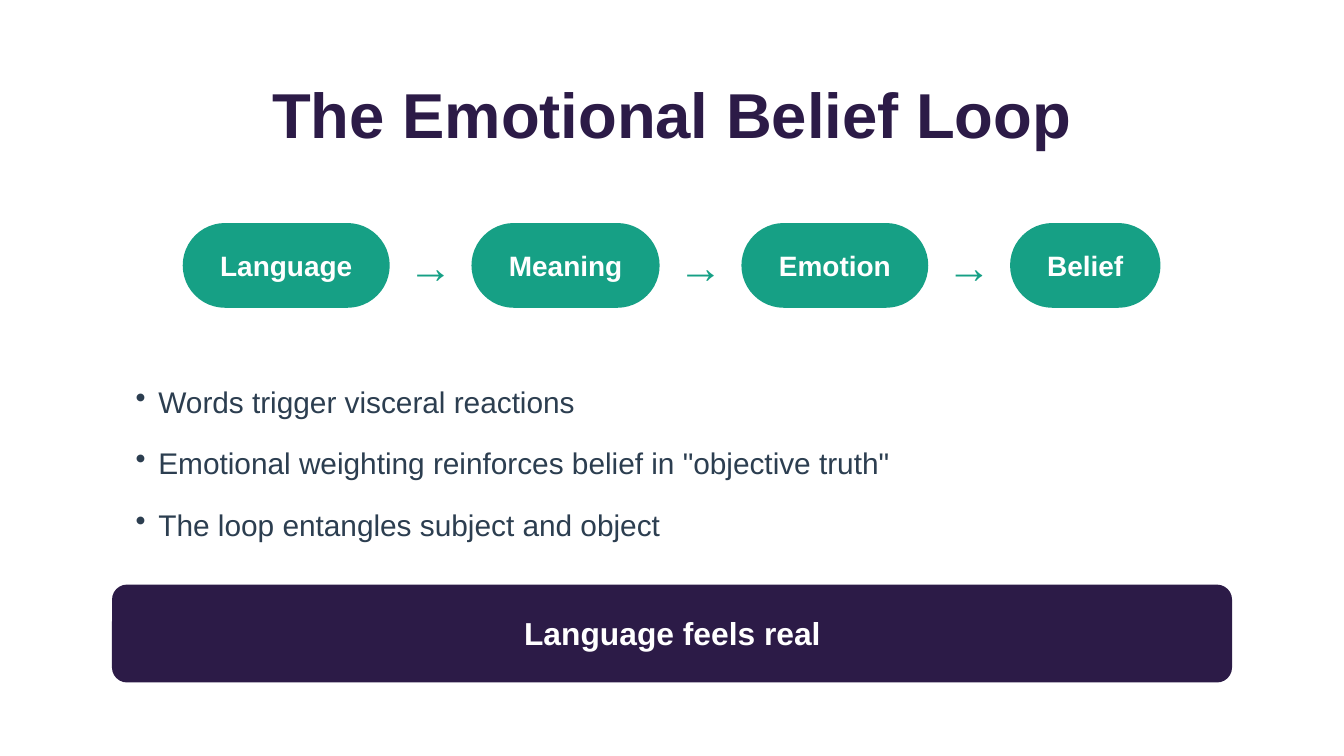
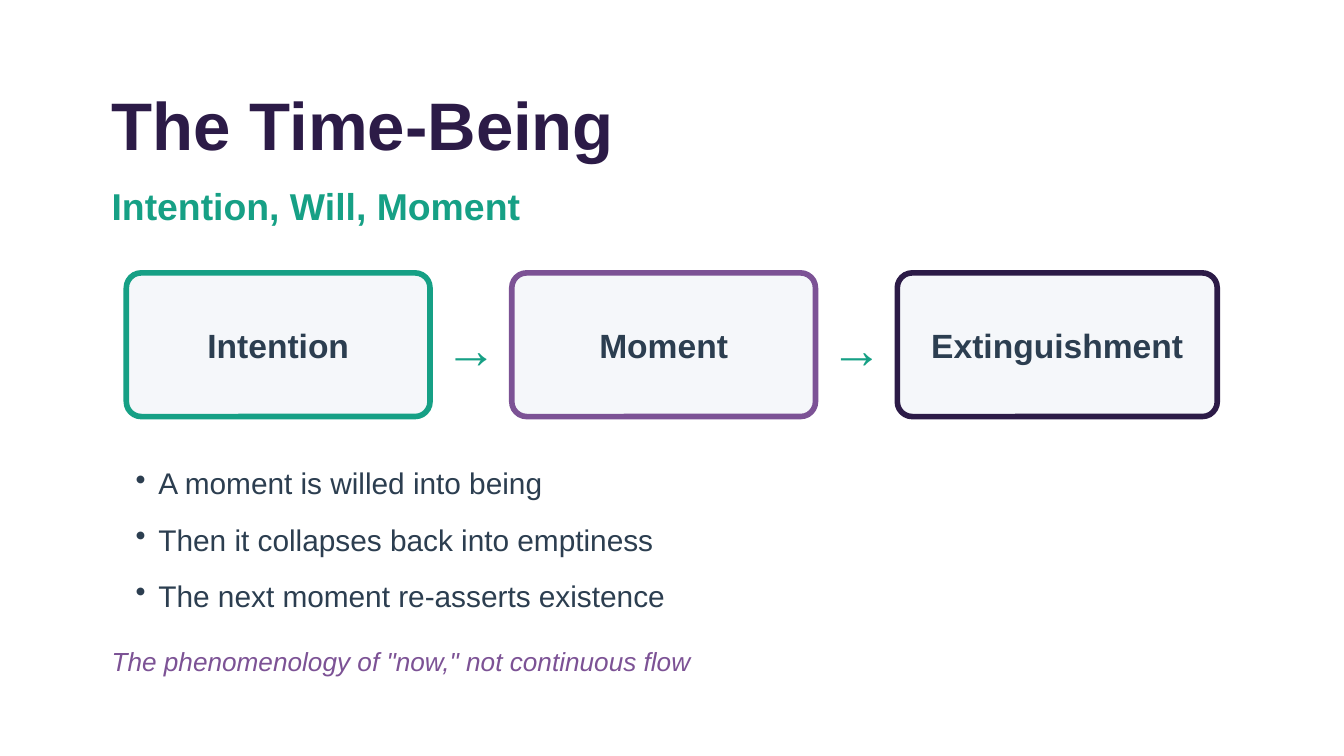
from pptx import Presentation
from pptx.dml.color import RGBColor
from pptx.enum.shapes import MSO_SHAPE
from pptx.enum.text import MSO_AUTO_SIZE, PP_ALIGN
from pptx.util import Pt
from lxml.etree import SubElement
from pptx.oxml.ns import qn

PLUM = RGBColor(0x2C, 0x1B, 0x47)
TEAL = RGBColor(0x16, 0xA0, 0x85)
MAUVE = RGBColor(0x7C, 0x52, 0x95)
SLATE = RGBColor(0x2C, 0x3E, 0x50)
PALE = RGBColor(0xF5, 0xF7, 0xFA)
WHITE = RGBColor(0xFF, 0xFF, 0xFF)
LEFT, MID = PP_ALIGN.LEFT, PP_ALIGN.CENTER


def write(slide, area, lines, size, color, align=LEFT, before=0, dots=False, **style):
    frame = slide.shapes.add_textbox(*map(Pt, area)).text_frame
    margins = dict.fromkeys(
        ("margin_left", "margin_top", "margin_right", "margin_bottom"), 0)
    for name, value in margins.items():
        setattr(frame, name, value)
    frame.word_wrap = True
    frame.auto_size = MSO_AUTO_SIZE.SHAPE_TO_FIT_TEXT
    for i, line in enumerate(lines):
        para = frame.add_paragraph() if i else frame.paragraphs[0]
        para.alignment = align
        para.space_before = Pt(before)
        run = para.add_run()
        run.text = line
        for name, value in {"name": "Arial", "size": Pt(size), **style}.items():
            setattr(run.font, name, value)
        run.font.color.rgb = color
        if dots:
            para.line_spacing = Pt(20)
            props = para._p.get_or_add_pPr()
            props.set("marL", str(Pt(12.2)))
            props.set("indent", str(Pt(-12.2)))
            SubElement(props, qn("a:buChar")).set("char", "•")


def panel(slide, area, curve, fill, edge=None):
    shape = slide.shapes.add_shape(MSO_SHAPE.ROUNDED_RECTANGLE, *map(Pt, area))
    shape.shadow.inherit = False
    shape.adjustments[0] = curve
    shape.fill.solid()
    shape.fill.fore_color.rgb = fill
    if edge is None:
        shape.line.fill.background()
    else:
        shape.line.color.rgb = edge
        shape.line.width = Pt(3)


deck = Presentation()
deck.slide_width, deck.slide_height = Pt(720), Pt(405)
blank = deck.slide_layouts[6]
loop = deck.slides.add_slide(blank)
time = deck.slides.add_slide(blank)

write(loop, (54, 40.3, 612, 38.2), ["The Emotional Belief Loop"], 34, PLUM,
      MID, 25, bold=True)
write(time, (59.8, 44.6, 612, 41), ["The Time-Being"], 36, PLUM,
      before=12, bold=True)
write(time, (59.8, 97.9, 612, 22.3), ["Intention, Will, Moment"], 20, TEAL,
      before=25, bold=True)

flows = [
    {"slide": loop, "left": 97.9, "top": 119.5, "high": 45.4, "curve": 0.5,
     "fill": TEAL, "ink": WHITE, "size": 15, "pad": 19.4, "drop": 13.7,
     "arrow": (9.9, 8.6, 24.5, 27.4), "point": 24, "before": 24,
     "steps": [("Language", 110.9, None), ("Meaning", 100.8, None),
               ("Emotion", 100.1, None), ("Belief", 80.6, None)]},
    {"slide": time, "left": 67.7, "top": 146.2, "high": 77, "curve": 0.104,
     "fill": PALE, "ink": SLATE, "size": 18, "pad": 16.9, "drop": 28,
     "arrow": (7.9, 23, 28.8, 31), "point": 28, "before": 0,
     "steps": [("Intention", 162.7, TEAL), ("Moment", 162.7, MAUVE),
               ("Extinguishment", 171.4, PLUM)]},
]
GAP = 43.8

for flow in flows:
    slide, x, y = flow["slide"], flow["left"], flow["top"]
    pad, size = flow["pad"], flow["size"]
    dx, dy, wide, tall = flow["arrow"]
    for i, (word, width, edge) in enumerate(flow["steps"]):
        if i:
            write(slide, (x - GAP + dx, y + dy, wide, tall), ["→"],
                  flow["point"], TEAL, before=flow["before"])
        panel(slide, (x, y, width, flow["high"]), flow["curve"], flow["fill"], edge)
        write(slide, (x + pad, y + flow["drop"], width - 2 * pad, size * 1.12),
              [word], size, flow["ink"], MID, bold=True)
        x += width + GAP

points = [
    (loop, 204.5, 85.7, 13, ["Words trigger visceral reactions",
                             'Emotional weighting reinforces belief in "objective truth"',
                             "The loop entangles subject and object"]),
    (time, 248.4, 79.2, 10, ["A moment is willed into being",
                             "Then it collapses back into emptiness",
                             "The next moment re-asserts existence"]),
]
for slide, top, high, before, lines in points:
    write(slide, (72.7, top, 587.5, high), lines, 16, SLATE,
          before=before, dots=True)

panel(loop, (60, 313.2, 600, 52.4), 0.153, PLUM)
write(loop, (70.5, 329, 579.6, 19.4), ["Language feels real"], 17, WHITE,
      MID, bold=True)
write(time, (59.8, 345.6, 612, 15.8),
      ['The phenomenology of "now," not continuous flow'], 14, MAUVE,
      before=15, italic=True)

deck.save("out.pptx")
